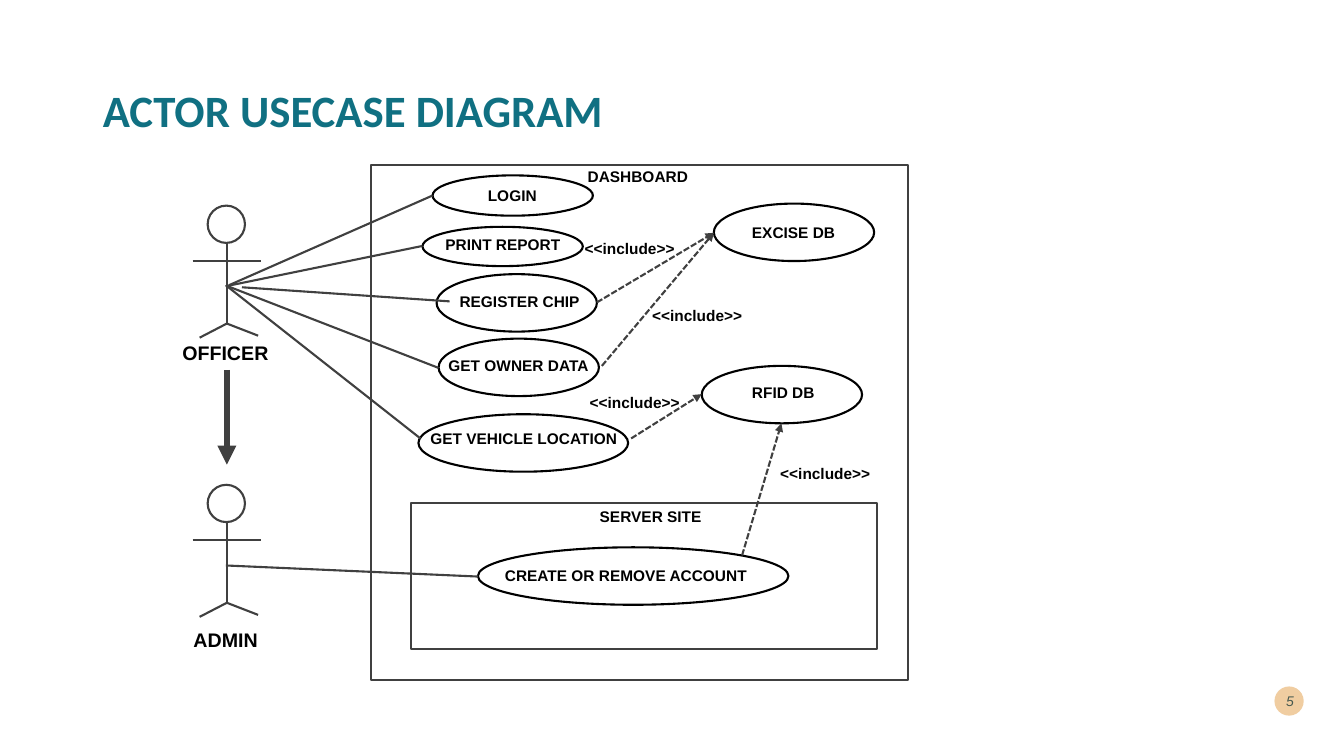
from lxml import etree
from pptx import Presentation
from pptx.dml.color import RGBColor
from pptx.enum.dml import MSO_LINE
from pptx.enum.shapes import MSO_CONNECTOR, MSO_SHAPE
from pptx.enum.text import MSO_ANCHOR, PP_ALIGN
from pptx.oxml.ns import qn
from pptx.util import Inches, Pt

TEAL = RGBColor(0x10, 0x70, 0x82)
SAND = RGBColor(0xF0, 0xCD, 0xA1)
DARK_TEAL = RGBColor(0x00, 0x29, 0x2E)
GRAY = RGBColor(0x40, 0x40, 0x40)
BLACK = RGBColor(0, 0, 0)


def add_line(x1, y1, x2, y2, width=1.5, dashed=False, arrow=False):
    line = s.shapes.add_connector(
        MSO_CONNECTOR.STRAIGHT, Inches(x1), Inches(y1), Inches(x2), Inches(y2))
    line.line.color.rgb = GRAY
    line.line.width = Pt(width)
    if dashed:
        line.line.dash_style = MSO_LINE.SQUARE_DOT
    if arrow:
        etree.SubElement(line.line._get_or_add_ln(), qn("a:tailEnd"), type="triangle")
    etree.SubElement(line._element.spPr, qn("a:effectLst"))


def add_label(text, left, top, width, height=0.29, size=11):
    box = s.shapes.add_textbox(Inches(left), Inches(top), Inches(width), Inches(height))
    tf = box.text_frame
    tf.word_wrap = False
    p = tf.paragraphs[0]
    p.text = text
    p.font.name = "Arial"
    p.font.size = Pt(size)
    p.font.bold = True
    p.font.color.rgb = BLACK
    return box


prs = Presentation()
prs.slide_width, prs.slide_height = Inches(13.33), Inches(7.5)
s = prs.slides.add_slide(prs.slide_layouts[5])

# Title
title = s.shapes.title
title.left, title.top = Inches(0.92), Inches(0.4)
title.width, title.height = Inches(11.5), Inches(1.45)
tf = title.text_frame
tf.vertical_anchor = MSO_ANCHOR.MIDDLE
p = tf.paragraphs[0]
p.text = "ACTOR USECASE DIAGRAM"
p.alignment = PP_ALIGN.LEFT
p.line_spacing = 0.9
p.font.name = "Calibri"
p.font.size = Pt(32)
p.font.bold = True
p.font.color.rgb = TEAL

# Page number on its disc
disc = s.shapes.add_shape(
    MSO_SHAPE.OVAL, Inches(12.64), Inches(6.81), Inches(0.29), Inches(0.29))
disc.shadow.inherit = False
disc.fill.solid()
disc.fill.fore_color.rgb = SAND
disc.line.fill.background()
number = add_label("5", 12.54, 6.75, 0.39, 0.4, 10)
number.text_frame.word_wrap = True
number.text_frame.vertical_anchor = MSO_ANCHOR.MIDDLE
p = number.text_frame.paragraphs[0]
p.alignment = PP_ALIGN.RIGHT
p.font.bold = False
p.font.italic = True
p.font.color.rgb = DARK_TEAL
etree.SubElement(p._p.find(".//" + qn("a:srgbClr")), qn("a:alpha"), val="70000")

# Outlines: system frames, actor heads, use cases
RECT, OVAL = MSO_SHAPE.RECTANGLE, MSO_SHAPE.OVAL
outlines = [
    (RECT, GRAY, 3.68, 1.64, 5.33, 5.11),
    (RECT, GRAY, 4.08, 4.99, 4.62, 1.45),
    (OVAL, GRAY, 2.06, 2.04, 0.37, 0.37),
    (OVAL, GRAY, 2.06, 4.81, 0.37, 0.37),
    (OVAL, BLACK, 4.29, 1.74, 1.59, 0.4),
    (OVAL, BLACK, 4.19, 2.25, 1.59, 0.39),
    (OVAL, BLACK, 4.33, 2.72, 1.59, 0.57),
    (OVAL, BLACK, 4.35, 3.36, 1.59, 0.57),
    (OVAL, BLACK, 4.15, 4.11, 2.08, 0.57),
    (OVAL, BLACK, 7.08, 2.02, 1.59, 0.57),
    (OVAL, BLACK, 6.96, 3.63, 1.59, 0.57),
    (OVAL, BLACK, 4.74, 5.43, 3.08, 0.57),
]
for kind, color, *box in outlines:
    sp = s.shapes.add_shape(kind, *map(Inches, box))
    sp.shadow.inherit = False
    sp.fill.background()
    sp.line.color.rgb = color
    sp.line.width = Pt(1.5)

# Actor bodies below the heads
for neck in (2.41, 5.18):
    hip = neck + 0.8
    add_line(2.25, neck, 2.25, hip)
    add_line(1.91, neck + 0.18, 2.59, neck + 0.18)
    add_line(2.25, hip, 2.56, hip + 0.12)
    add_line(2.25, hip, 1.98, hip + 0.14)
add_label("OFFICER", 1.71, 3.33, 1.06, 0.34, 14)
add_label("ADMIN", 1.82, 6.18, 0.85, 0.34, 14)
add_line(2.25, 3.67, 2.25, 4.61, width=4.5, arrow=True)

# Actors to use cases
for ends in [
    (2.27, 2.83, 4.29, 1.94),
    (2.24, 2.84, 4.19, 2.44),
    (2.4, 2.85, 4.46, 2.99),
    (2.26, 2.84, 4.35, 3.65),
    (2.24, 2.83, 4.17, 4.35),
    (2.24, 5.61, 4.74, 5.72),
]:
    add_line(*ends)

# Use cases to databases
for ends in [
    (5.92, 3, 7.08, 2.31),
    (5.97, 3.63, 7.08, 2.31),
    (6.26, 4.35, 6.96, 3.91),
    (7.36, 5.51, 7.75, 4.2),
]:
    add_line(*ends, dashed=True, arrow=True)
for left, top in [(5.7, 2.32), (6.37, 2.99), (5.75, 3.85), (7.64, 4.56)]:
    add_label("<<include>>", left, top, 1.1)

for label in [
    ("DASHBOARD", 5.73, 1.61, 1.21),
    ("SERVER SITE", 5.85, 4.98, 1.23),
    ("LOGIN", 4.74, 1.8, 0.69),
    ("PRINT REPORT", 4.32, 2.28, 1.37),
    ("REGISTER CHIP", 4.46, 2.85, 1.4),
    ("GET OWNER DATA", 4.35, 3.48, 1.63),
    ("GET VEHICLE LOCATION", 4.17, 4.21, 2.08),
    ("EXCISE DB", 7.36, 2.16, 1.04),
    ("RFID DB", 7.36, 3.75, 0.83),
    ("CREATE OR REMOVE ACCOUNT", 4.91, 5.57, 2.64),
]:
    add_label(*label)

prs.save("out.pptx")
